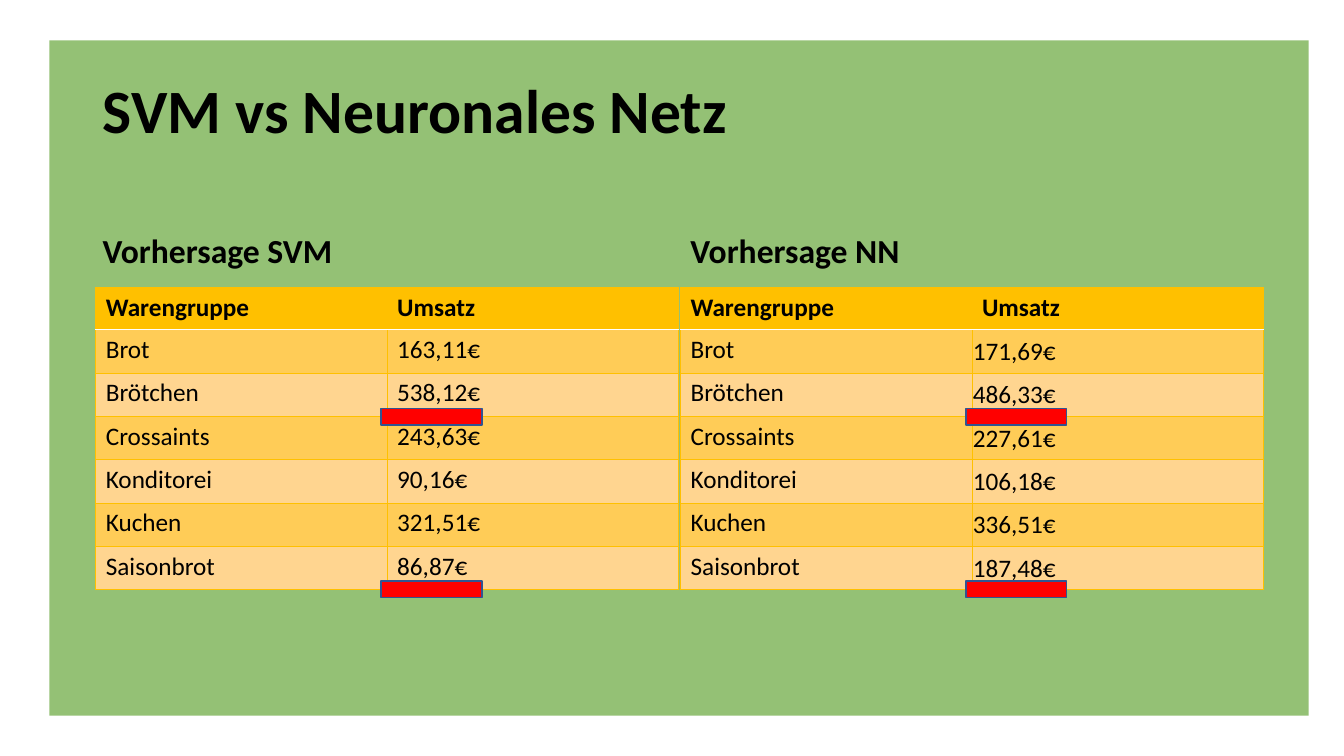
from lxml.etree import SubElement
from pptx import Presentation
from pptx.dml.color import RGBColor
from pptx.enum.shapes import MSO_SHAPE
from pptx.enum.text import MSO_ANCHOR
from pptx.oxml.ns import qn
from pptx.util import Emu, Pt

PX = 9144  # 100 px to the inch
FONT = "Calibri"
BLACK = RGBColor(0x00, 0x00, 0x00)
WHITE = RGBColor(0xFF, 0xFF, 0xFF)
GREEN = RGBColor(0x94, 0xC1, 0x75)
GOLD = RGBColor(0xFF, 0xC0, 0x00)
BAND_DARK = RGBColor(0xFF, 0xCC, 0x57)
BAND_LIGHT = RGBColor(0xFF, 0xD5, 0x90)
RED = RGBColor(0xFF, 0x00, 0x00)
BLUE = RGBColor(0x32, 0x54, 0x91)

HEADER = ("Warengruppe", "Umsatz")
GROUPS = ("Brot", "Brötchen", "Crossaints", "Konditorei", "Kuchen", "Saisonbrot")
SVM = ("163,11€", "538,12€", "243,63€", "90,16€", "321,51€", "86,87€")
NN = ("171,69€", "486,33€", "227,61€", "106,18€", "336,51€", "187,48€")


def px(*lengths):
    return [Emu(n * PX) for n in lengths]


def set_font(p, size, bold):
    p.font.name = FONT
    p.font.size = Pt(size)
    p.font.bold = bold
    p.font.color.rgb = BLACK


def add_shape(s, kind, box, fill, line=None):
    sp = s.shapes.add_shape(kind, *px(*box))
    sp.shadow.inherit = False
    sp.fill.solid()
    sp.fill.fore_color.rgb = fill
    if line is None:
        sp.line.fill.background()
    else:
        sp.line.color.rgb = line
        sp.line.width = Pt(1)


def add_heading(s, box, text, size, anchor):
    tf = s.shapes.add_textbox(*px(*box)).text_frame
    tf.word_wrap = True
    tf.vertical_anchor = anchor
    p = tf.paragraphs[0]
    p.text = text
    p.line_spacing = 0.9
    set_font(p, size, True)


def set_border(cell, side, color, width):
    ln = SubElement(cell._tc.get_or_add_tcPr(), qn(f"a:ln{side}"), w=str(Pt(width)))
    fill = SubElement(ln, qn("a:solidFill"))
    SubElement(fill, qn("a:srgbClr"), val=str(color))


def style_cell(cell, text, row):
    # Borders come before the fill in the cell properties
    for side in "LRTB":
        under_header = (row, side) in ((0, "B"), (1, "T"))
        set_border(cell, side, WHITE if under_header else GOLD,
                   1 if under_header else 0.5)
    cell.fill.solid()
    cell.fill.fore_color.rgb = (
        GOLD if row == 0 else BAND_DARK if row % 2 else BAND_LIGHT)
    cell.text = text
    set_font(cell.text_frame.paragraphs[0], 18, row == 0)


def add_forecast(s, left, top, amounts, tight):
    """Table of amounts with two red marks; tight cells have almost no margin."""
    rows = [HEADER, *zip(GROUPS, amounts)]
    frame = s.shapes.add_table(len(rows), 2, *px(left, top, 578, 300))
    table = frame.table
    for col in table.columns:
        col.width = Emu(289 * PX)
    for r, texts in enumerate(rows):
        table.rows[r].height = Emu((43 if r else 42) * PX)
        for c, text in enumerate(texts):
            cell = table.cell(r, c)
            style_cell(cell, text, r)
            if tight and r and c:
                cell.vertical_anchor = MSO_ANCHOR.MIDDLE
                cell.margin_left, cell.margin_right, cell.margin_top = px(1, 1, 1)
                cell.margin_bottom = 0


def add_marks(s, left, top):
    # Red bars under Brötchen and Saisonbrot
    for dy in (94, 265):
        add_shape(s, MSO_SHAPE.MATH_MINUS, (left + 265, top + dy, 136, 69), RED, BLUE)


def build_slide(prs):
    s = prs.slides.add_slide(prs.slide_layouts[6])
    # Green panel and title
    add_shape(s, MSO_SHAPE.RECTANGLE, (49, 40, 1249, 670), GREEN)
    add_heading(s, (92, 40, 1150, 145), "SVM vs Neuronales Netz", 44, MSO_ANCHOR.MIDDLE)
    # Column headings
    add_heading(s, (92, 184, 564, 90), "Vorhersage SVM", 24, MSO_ANCHOR.BOTTOM)
    add_heading(s, (675, 184, 567, 90), "Vorhersage NN", 24, MSO_ANCHOR.BOTTOM)
    # Tables, then the marks over them
    add_forecast(s, 95, 285, SVM, tight=False)
    add_forecast(s, 675, 285, NN, tight=True)
    for left in (95, 675):
        add_marks(s, left, 285)


def main():
    prs = Presentation()
    prs.slide_width, prs.slide_height = px(1333, 750)
    build_slide(prs)
    prs.save("out.pptx")


if __name__ == "__main__":
    main()
